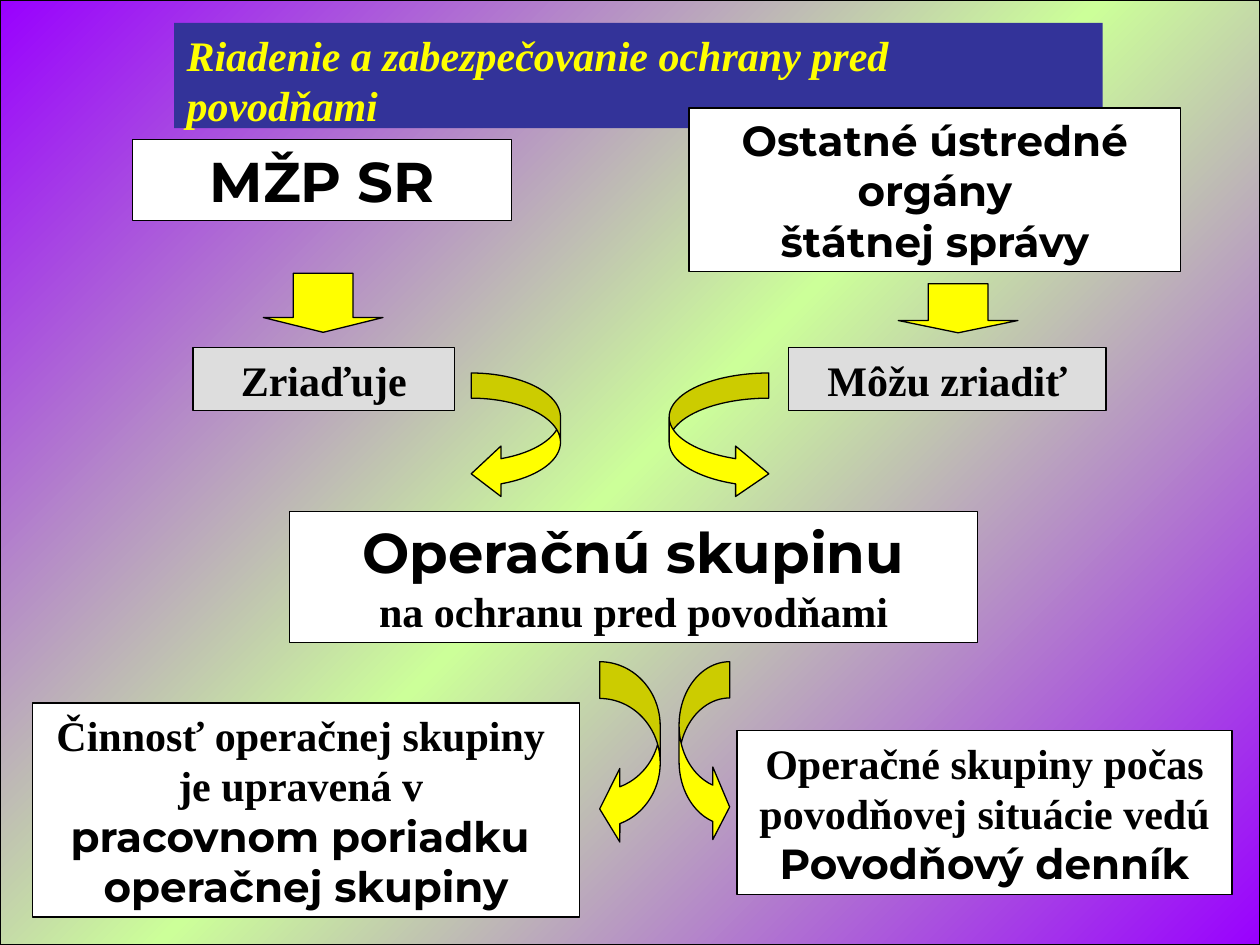
"""Build the slide on flood protection management."""
from copy import deepcopy
from dataclasses import dataclass
from typing import Any, NamedTuple

from pptx import Presentation
from pptx.dml.color import RGBColor as Rgb
from pptx.enum.shapes import MSO_SHAPE as Geo
from pptx.enum.text import MSO_ANCHOR as Anchor, MSO_AUTO_SIZE as Fit, PP_ALIGN as Align
from pptx.util import Cm, Pt


@dataclass(frozen=True)
class Theme:
    """Colours, fonts and type sizes."""

    ink: str = "000000"
    paper: str = "FFFFFF"
    grey: str = "DDDDDD"
    sun: str = "FFFF00"
    navy: str = "333399"
    edge: str = "9900FF"
    glow: str = "CCFF99"
    serif: str = "Times New Roman"
    sans: str = "Montserrat"
    big: int = 32
    mid: int = 24
    rule: float = 0.75


THEME = Theme()


class Area(NamedTuple):
    """Left, top, width and height in centimetres."""

    left: float
    top: float
    width: float
    height: float


class Line(NamedTuple):
    """One paragraph with its font and size."""

    text: str
    face: str = THEME.serif
    size: int = THEME.mid


class Box(NamedTuple):
    """A framed text panel."""

    area: Area
    lines: list[Line]
    fill: str = THEME.paper


class Arrow(NamedTuple):
    """A yellow block arrow."""

    kind: Geo
    area: Area


SANS, BIG = THEME.sans, THEME.big
TITLE = Line("Riadenie a zabezpečovanie ochrany pred povodňami")
BAND = Area(3.51, 0.46, 18.72, 1.27)

BOXES = [
    Box(Area(2.67, 2.82, 7.65, 1.63), [Line("MŽP SR", SANS, BIG)]),
    Box(Area(13.89, 2.18, 9.91, 3.3),
        [Line("Ostatné ústredné orgány", SANS), Line("štátnej správy", SANS)]),
    Box(Area(3.89, 7.01, 5.28, 1.27), [Line("Zriaďuje")], THEME.grey),
    Box(Area(15.9, 7.01, 6.4, 1.27), [Line("Môžu zriadiť")], THEME.grey),
    Box(Area(5.84, 10.31, 13.87, 2.64),
        [Line("Operačnú skupinu", SANS, BIG), Line("na ochranu pred povodňami")]),
    Box(Area(0.66, 14.17, 11.02, 4.32),
        [Line("Činnosť operačnej skupiny "), Line("je upravená v "),
         Line("pracovnom poriadku ", SANS), Line("operačnej skupiny", SANS)]),
    Box(Area(14.86, 14.73, 9.98, 3.3),
        [Line("Operačné skupiny počas"), Line("povodňovej situácie vedú"),
         Line("Povodňový denník", SANS)]),
]

ARROWS = [
    Arrow(Geo.DOWN_ARROW, Area(5.31, 5.51, 2.41, 1.19)),
    Arrow(Geo.DOWN_ARROW, Area(18.11, 5.72, 2.41, 0.99)),
    Arrow(Geo.CURVED_LEFT_ARROW, Area(9.5, 7.52, 1.8, 2.54)),
    Arrow(Geo.CURVED_RIGHT_ARROW, Area(13.49, 7.52, 2.01, 2.54)),
    Arrow(Geo.CURVED_LEFT_ARROW, Area(12.09, 13.34, 1.22, 3.71)),
    Arrow(Geo.CURVED_RIGHT_ARROW, Area(13.69, 13.34, 1.02, 3.66)),
]


def apply(item: Any, form: dict[str, Any]) -> None:
    """Set each attribute named in the format."""
    for name, value in form.items():
        setattr(item, name, value)


def paint(shape: Any, color: str) -> None:
    """Give a shape a solid fill."""
    shape.fill.solid()
    shape.fill.fore_color.rgb = Rgb.from_string(color)


def add_form(slide: Any, kind: Geo, area: Area, color: str) -> Any:
    """Add a filled, outlined shape without a shadow."""
    shape = slide.shapes.add_shape(kind, *map(Cm, area))
    shape.shadow.inherit = False
    paint(shape, color)
    shape.line.color.rgb = Rgb.from_string(THEME.ink)
    shape.line.width = Pt(THEME.rule)
    return shape


def write(shape: Any, lines: list[Line], color: str, align: Align,
          wrap: bool = True, slant: bool = False) -> None:
    """Fill the text frame with bold paragraphs."""
    frame = shape.text_frame
    apply(frame, {
        "text": "\n".join(line.text for line in lines),
        "word_wrap": wrap,
        "auto_size": Fit.SHAPE_TO_FIT_TEXT,
        "vertical_anchor": Anchor.TOP,
        "margin_left": Cm(0.25), "margin_right": Cm(0.25),
        "margin_top": Cm(0.13), "margin_bottom": Cm(0.13),
    })
    for para, line in zip(frame.paragraphs, lines):
        para.alignment = align
        font = para.runs[0].font
        apply(font, {"name": line.face, "size": Pt(line.size), "bold": True, "italic": slant})
        font.color.rgb = Rgb.from_string(color)


def add_ground(slide: Any) -> None:
    """Lay the diagonal gradient behind the title."""
    ground = add_form(slide, Geo.RECTANGLE, Area(0, 0, 25.4, 19.05), THEME.edge)
    ground.fill.gradient()
    ground.fill.gradient_angle = 315
    first = ground.element.xpath(".//a:gs")[0]
    first.addnext(deepcopy(first))
    tints = [THEME.edge, THEME.glow, THEME.edge]
    for stop, tint, place in zip(ground.fill.gradient_stops, tints, (0, 0.5, 1)):
        stop.color.rgb = Rgb.from_string(tint)
        stop.position = place
    slide.shapes.title.element.addprevious(ground.element)


def add_title(slide: Any) -> None:
    """Place the title on its navy band."""
    title = slide.shapes.title
    apply(title, dict(zip(Area._fields, map(Cm, BAND))))
    paint(title, THEME.navy)
    write(title, [TITLE], THEME.sun, Align.LEFT, wrap=False, slant=True)


def add_box(slide: Any, box: Box) -> None:
    """Draw one text panel."""
    shape = add_form(slide, Geo.RECTANGLE, box.area, box.fill)
    write(shape, box.lines, THEME.ink, Align.CENTER)


def add_arrow(slide: Any, arrow: Arrow) -> None:
    """Draw one arrow, with curved ones sized by their own height."""
    shape = add_form(slide, arrow.kind, arrow.area, THEME.sun)
    if arrow.kind == Geo.DOWN_ARROW:
        ratios = [0.5, 0.25]
    else:
        tall = arrow.area.height / arrow.area.width
        ratios = [0.2 * tall, 0.4 * tall, 1 / 3]
    for spot, ratio in enumerate(ratios):
        shape.adjustments[spot] = ratio


def main() -> None:
    """Build and save the slide."""
    deck = Presentation()
    apply(deck, {"slide_width": Cm(25.4), "slide_height": Cm(19.05)})
    slide = deck.slides.add_slide(deck.slide_layouts.get_by_name("Title Only"))
    add_ground(slide)
    add_title(slide)
    for box in BOXES:
        add_box(slide, box)
    for arrow in ARROWS:
        add_arrow(slide, arrow)
    deck.save("out.pptx")


if __name__ == "__main__":
    main()
